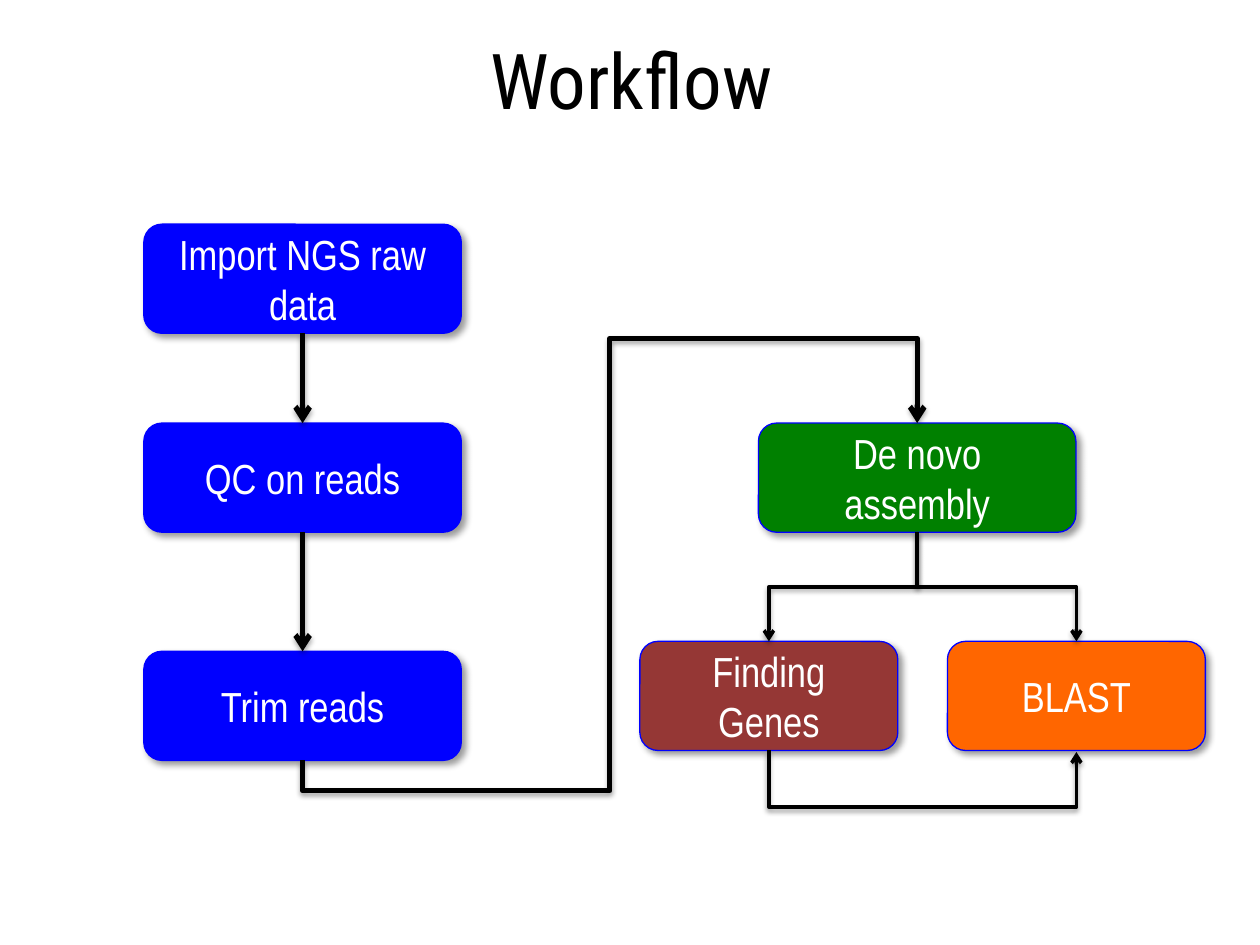
from dataclasses import dataclass

from lxml import etree
from pptx import Presentation
from pptx import util as u
from pptx.dml.color import RGBColor
from pptx.enum import shapes, text
from pptx.oxml.ns import qn


@dataclass(frozen=True)
class Theme:
    blue: str = "0000FF"
    green: str = "008000"
    red: str = "953735"
    orange: str = "FF6600"
    black: str = "000000"
    white: str = "FFFFFF"
    font: str = "Arial Narrow"
    head: str = "Roboto Condensed"
    body: int = 24
    title: int = 44
    thick: float = 3
    thin: float = 2


@dataclass(frozen=True)
class Shade:
    alpha: int
    blur: float
    dist: float
    angle: int


@dataclass(frozen=True)
class Box:
    label: str
    left: float
    top: float
    width: float
    fill: str


@dataclass(frozen=True)
class Link:
    """Arrow from the bottom of one box to a side of another."""
    start: str
    end: str
    width: float
    form: str = "line"
    turn: int = 0
    flip: str = ""
    bends: tuple[float, ...] = ()
    site: int = 0


T = Theme()
TOP, BOTTOM = 0, 2
TALL, WIDE, SLIM = 2.2, 6.4, 5.2
LEFT, ROW, LAST = 2.9, 8.53, 12.93
SOFT = Shade(40, 4, 3, 45)
FIRM = {T.thick: Shade(35, 3.1, 1.8, 90), T.thin: Shade(38, 3.1, 1.6, 90)}
GAP, DROP = 0.03, 1.14  # tip clearance and depth of the lower loop

BOXES = [
    Box("Import NGS raw data", LEFT, 4.52, WIDE, T.blue),
    Box("QC on reads", LEFT, ROW, WIDE, T.blue),
    Box("Trim reads", LEFT, 13.13, WIDE, T.blue),
    Box("De novo assembly", 15.29, ROW, WIDE, T.green),
    Box("Finding Genes", 12.9, LAST, SLIM, T.red),
    Box("BLAST", 19.1, LAST, SLIM, T.orange),
]

LINKS = [
    Link("Import NGS raw data", "QC on reads", T.thick),
    Link("QC on reads", "Trim reads", T.thick),
    Link("De novo assembly", "Finding Genes", T.thin, "bentConnector3", 90),
    Link("De novo assembly", "BLAST", T.thin, "bentConnector3", 270, "H"),
    Link("Trim reads", "De novo assembly", T.thick, "bentConnector5", 90, "HV",
         (-0.09, 0.5, 1.25)),
    Link("Finding Genes", "BLAST", T.thin, "bentConnector4",
         bends=(0, DROP / GAP), site=BOTTOM),
]


def style(frame, font: str, size: int, color: str) -> None:
    frame.word_wrap = True
    frame.vertical_anchor = text.MSO_ANCHOR.MIDDLE
    for para in frame.paragraphs:
        para.alignment = text.PP_ALIGN.CENTER
        for run in para.runs:
            run.font.name = font
            run.font.size = u.Pt(size)
            run.font.color.rgb = RGBColor.from_string(color)


def shade(props, kind: Shade) -> None:
    """Add an outer shadow to shape properties."""
    for old in props.findall(qn("a:effectLst")):
        props.remove(old)
    effects = etree.SubElement(props, qn("a:effectLst"))
    outer = etree.SubElement(
        effects, qn("a:outerShdw"), blurRad=str(u.Pt(kind.blur)),
        dist=str(u.Pt(kind.dist)), dir=str(kind.angle * 60000), rotWithShape="0")
    color = etree.SubElement(outer, qn("a:srgbClr"), val=T.black)
    etree.SubElement(color, qn("a:alpha"), val=str(kind.alpha * 1000))


def add_title(slide, words: str) -> None:
    box = slide.shapes.add_textbox(u.Cm(1.3), u.Cm(0), u.Cm(22.86), u.Cm(3.18))
    box.text_frame.text = words
    style(box.text_frame, T.head, T.title, T.black)


def add_box(slide, box: Box):
    shape = slide.shapes.add_shape(
        shapes.MSO_SHAPE.ROUNDED_RECTANGLE,
        u.Cm(box.left), u.Cm(box.top), u.Cm(box.width), u.Cm(TALL))
    shape.fill.solid()
    shape.fill.fore_color.rgb = RGBColor.from_string(box.fill)
    shape.line.color.rgb = RGBColor.from_string(T.blue)
    shape.line.width = u.Pt(0.75)
    shape.text_frame.text = box.label
    style(shape.text_frame, T.font, T.body, T.white)
    shade(shape._element.spPr, SOFT)
    return shape


def bend(line, link: Link) -> None:
    """Route a connector as an elbow, turned about its middle."""
    x, y = (line.begin_x + line.end_x) // 2, (line.begin_y + line.end_y) // 2
    wide, tall = line.width, line.height
    if link.turn:
        wide, tall = tall, wide
    else:
        tall = u.Cm(GAP)
        y += tall // 2
    line.left, line.top = x - wide // 2, y - tall // 2
    line.width, line.height = wide, tall
    props = line._element.spPr
    frame = props.find(qn("a:xfrm"))
    frame.set("rot", str(link.turn * 60000))
    for axis in "HV":
        frame.set("flip" + axis, str(int(axis in link.flip)))
    form = props.find(qn("a:prstGeom"))
    form.set("prst", link.form)
    guides = form.find(qn("a:avLst"))
    for n, part in enumerate(link.bends, 1):
        etree.SubElement(guides, qn("a:gd"), name=f"adj{n}",
                         fmla=f"val {round(part * 100000)}")


def add_link(slide, link: Link, nodes: dict) -> None:
    line = slide.shapes.add_connector(shapes.MSO_CONNECTOR.STRAIGHT, 0, 0, 0, 0)
    line.begin_connect(nodes[link.start], BOTTOM)
    line.end_connect(nodes[link.end], link.site)
    if link.form != "line":
        bend(line, link)
    line.line.color.rgb = RGBColor.from_string(T.black)
    line.line.width = u.Pt(link.width)
    props = line._element.spPr
    etree.SubElement(props.find(qn("a:ln")), qn("a:tailEnd"), type="arrow")
    shade(props, FIRM[link.width])


def main() -> None:
    deck = Presentation()
    deck.slide_width, deck.slide_height = u.Cm(25.4), u.Cm(19.05)
    slide = deck.slides.add_slide(deck.slide_layouts[6])
    add_title(slide, "Workflow")
    nodes = {box.label: add_box(slide, box) for box in BOXES}
    for link in LINKS:
        add_link(slide, link, nodes)
    deck.save("out.pptx")


if __name__ == "__main__":
    main()
